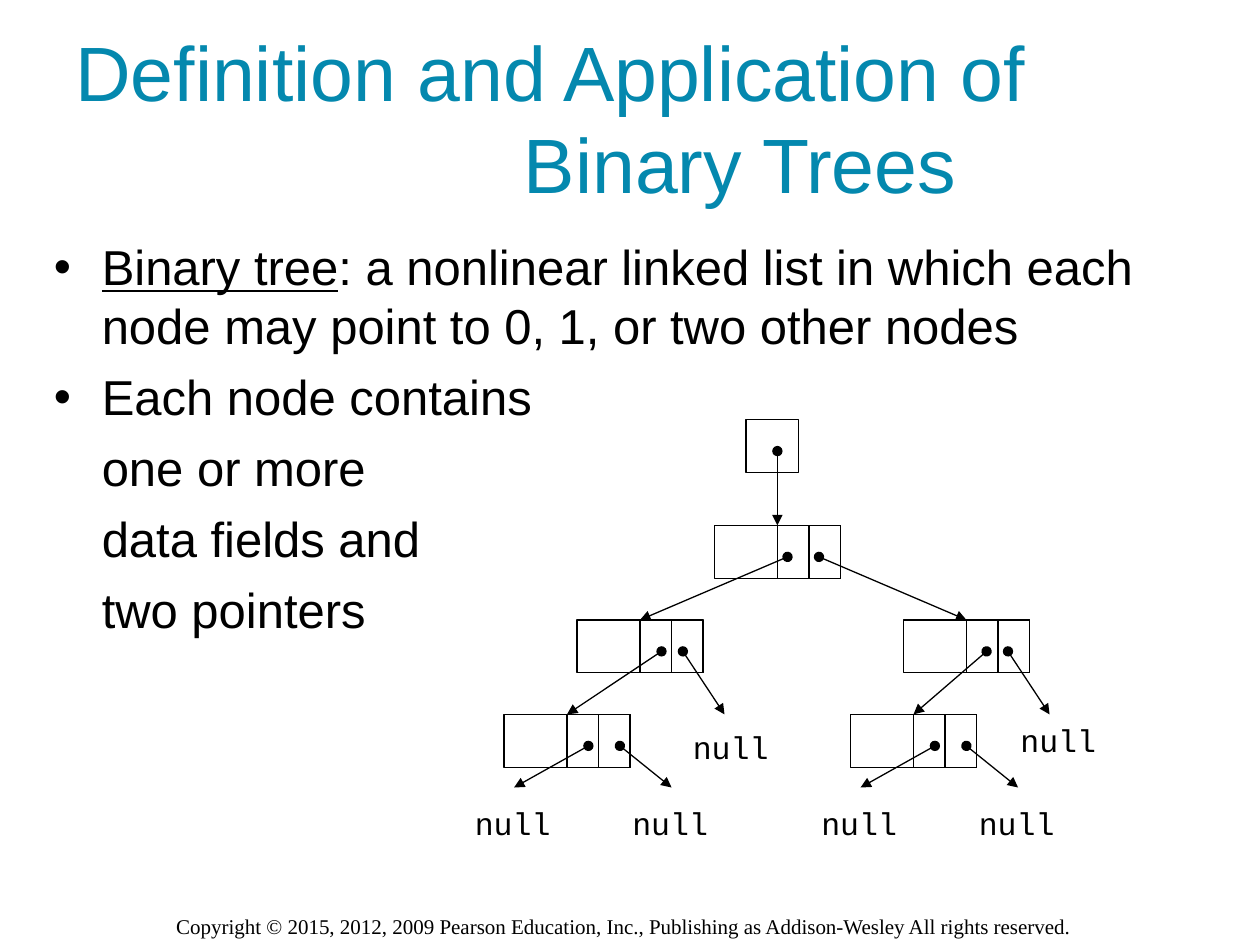
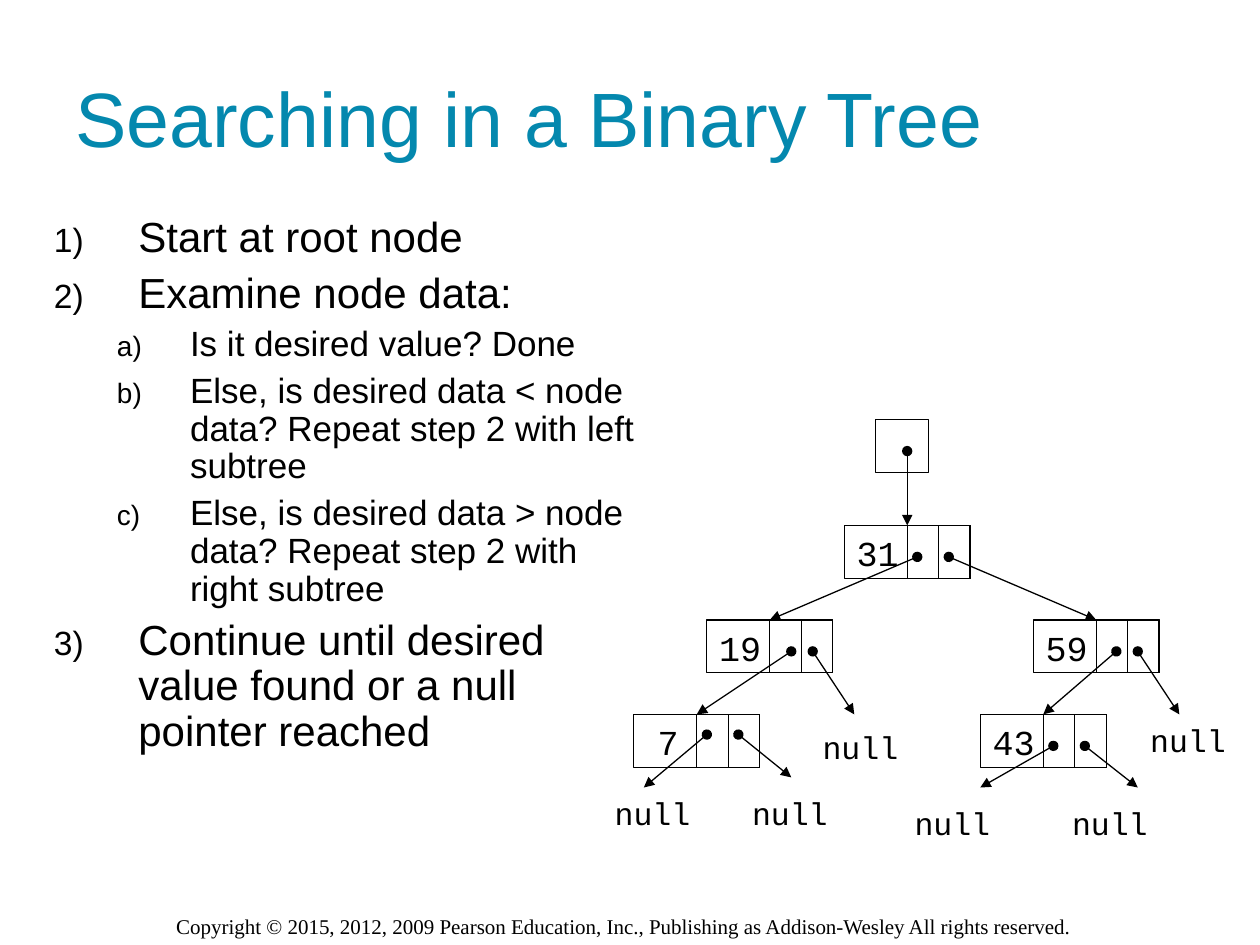
import pptx
from pptx.dml.color import RGBColor
from pptx.enum.shapes import MSO_CONNECTOR, MSO_SHAPE
from pptx.enum.text import MSO_ANCHOR
from pptx.oxml.ns import qn
from pptx.util import Inches, Pt
from lxml import etree

COLORS = {"title": "0488AE", "ink": "000000"}
SANS, SERIF, MONO = "Arial", "Times New Roman", "Courier New"
COPYRIGHT = ("Copyright © 2015, 2012, 2009 Pearson Education, Inc., "
             "Publishing as Addison-Wesley All rights reserved.")

# Node geometry in inches
NODE_WIDTH, NODE_HEIGHT, POINTER_WIDTH = 1, 0.42, 0.25
ROOT_Y, INNER_Y, LEAF_Y = 4.17, 4.92, 5.67
VALUE_WIDTH = 0.56


class Deck:
    def __init__(self):
        self.presentation = pptx.Presentation()
        self.presentation.slide_width = Inches(10)
        self.presentation.slide_height = Inches(7.5)
        self.slide = None

    def add_slide(self, title_lines):
        """Start a slide with the shared footer and title; a line is (text, indent)."""
        self.slide = self.presentation.slides.add_slide(self.presentation.slide_layouts[6])
        self.text(1.3, 7.2, 7.42, 0.3, COPYRIGHT, 12, SERIF, wrap=True)
        frame = self.frame(0.5, 0.3, 9, 1.25)
        frame.vertical_anchor = MSO_ANCHOR.MIDDLE
        for text, indent in title_lines:
            paragraph = self.paragraph(frame, [(text, False)], 44, color="title")
            paragraph._p.get_or_add_pPr().set("marL", str(Inches(indent)))

    def frame(self, left, top, width, height, wrap=True):
        box = self.slide.shapes.add_textbox(
            Inches(left), Inches(top), Inches(width), Inches(height))
        box.text_frame.word_wrap = wrap
        return box.text_frame

    def paragraph(self, frame, runs, size, font=SANS, color="ink", space=0):
        """Fill the empty first paragraph or append one; a run is (text, underlined)."""
        paragraph = frame.paragraphs[0]
        if paragraph.runs:
            paragraph = frame.add_paragraph()
            paragraph.space_before = Pt(space)
        for text, underlined in runs:
            run = paragraph.add_run()
            run.text = text
            if underlined:
                run.font.underline = True
        paragraph.font.size = Pt(size)
        paragraph.font.name = font
        paragraph.font.color.rgb = RGBColor.from_string(COLORS[color])
        return paragraph

    def text(self, left, top, width, height, text, size, font, wrap=False):
        frame = self.frame(left, top, width, height, wrap)
        self.paragraph(frame, [(text, False)], size, font)

    def list_item(self, frame, runs, size, margin, hanging, space,
                  bullet=None, number=None, level=0, line_spacing=None):
        paragraph = self.paragraph(frame, runs, size, space=space)
        paragraph.level = level
        if line_spacing:
            paragraph.line_spacing = line_spacing
        properties = paragraph._p.get_or_add_pPr()
        properties.set("marL", str(Inches(margin)))
        properties.set("indent", str(-Inches(hanging)))
        marks = []
        if number:
            marks = [("a:buSzPct", {"val": "80000"}), ("a:buFont", {"typeface": SANS}),
                     ("a:buAutoNum", {"type": number})]
        elif bullet:
            marks = [("a:buFont", {"typeface": SANS}), ("a:buChar", {"char": bullet})]
        defaults = properties.find(qn("a:defRPr"))
        for tag, attributes in marks:
            defaults.addprevious(etree.Element(qn(tag), attributes))

    def rectangle(self, left, top, width, height):
        shape = self.slide.shapes.add_shape(
            MSO_SHAPE.RECTANGLE, Inches(left), Inches(top), Inches(width), Inches(height))
        shape.shadow.inherit = False
        shape.fill.background()
        self.outline(shape.line)

    def outline(self, line):
        line.color.rgb = RGBColor.from_string(COLORS["ink"])
        line.width = Pt(0.75)

    def pointer(self, start, end):
        """Arrow from a round dot to a triangular tip."""
        connector = self.slide.shapes.add_connector(
            MSO_CONNECTOR.STRAIGHT, *(Inches(value) for value in (*start, *end)))
        self.outline(connector.line)
        line = connector.line._get_or_add_ln()
        for tag, kind in (("a:headEnd", "oval"), ("a:tailEnd", "triangle")):
            etree.SubElement(line, qn(tag), type=kind)
        etree.SubElement(connector._element.spPr, qn("a:effectLst"))

    def null(self, left, top):
        self.text(left, top, 0.82, 0.4, "null", 18, MONO)

    def node(self, left, top, value, dots, dot_drop, tips):
        """Data cell, two pointer cells and two pointers; dots and tips count from the node."""
        self.rectangle(left, top, NODE_WIDTH, NODE_HEIGHT)
        for cell in (1, 2):
            self.rectangle(left + NODE_WIDTH - cell * POINTER_WIDTH, top,
                           POINTER_WIDTH, NODE_HEIGHT)
        if value:
            indent = 0.09 if len(value) == 1 else 0
            self.text(left + indent, top, VALUE_WIDTH - 2 * indent, 0.44, value, 20, MONO)
        for dot, (tip_x, tip_y) in zip(dots, tips):
            self.pointer((left + dot, top + dot_drop), (left + tip_x, top + tip_y))

    def tree(self, shift, leaves, values=("",) * 5):
        """Draw the tree moved right by shift; values run level by level."""
        root, left, right, *leaf_values = values
        # Head pointer
        self.rectangle(5.92 + shift, 3.33, 0.42, 0.42)
        self.pointer((6.17 + shift, 3.58), (6.17 + shift, ROOT_Y))
        # Root and inner nodes
        self.node(5.67 + shift, ROOT_Y, root, (0.58, 0.83), 0.25,
                  ((-0.59, 0.75), (2, 0.75)))
        self.node(4.58 + shift, INNER_Y, left, (0.67, 0.84), 0.25,
                  ((-0.08, 0.75), (1.17, 0.75)))
        self.node(7.17 + shift, INNER_Y, right, (0.66, 0.83), 0.25,
                  ((0.08, 0.75), (1.16, 0.75)))
        self.null(5.4 + shift, 5.73)
        self.null(8 + shift, 5.67)
        # Leaves with their null labels
        for leaf_x, leaf, value in zip((4, 6.75), leaves, leaf_values):
            leaf_left = leaf_x + shift
            self.node(leaf_left, LEAF_Y, value, leaf["dots"], leaf["drop"], leaf["tips"])
            for offset in leaf["nulls"]:
                self.null(leaf_left + offset, leaf["null_y"])


def main():
    deck = Deck()

    # Definition
    deck.add_slide([("Definition and Application of", 0), ("Binary Trees", 3.56)])
    body = deck.frame(0.33, 1.83, 9.17, 4.58)
    definition = [("Binary tree", True),
                  (": a nonlinear linked list in which each node may point to 0, 1, "
                   "or two other nodes", False)]
    for runs in (definition, [("Each node contains", False)]):
        deck.list_item(body, runs, 28, 0.38, 0.38, 7, bullet="•")
    for text in ("one or more", "data fields and", "two pointers"):
        deck.list_item(body, [(text, False)], 28, 0.38, 0, 7)
    wide_leaf = {"dots": (0.67, 0.92), "drop": 0.25, "tips": ((0.08, 0.58), (1.33, 0.58)),
                 "nulls": (-0.33, 0.92), "null_y": 6.33}
    deck.tree(0, (wide_leaf, wide_leaf))

    # Searching
    deck.add_slide([("Searching in a Binary Tree", 0)])
    body = deck.frame(0.33, 1.67, 4.92, 5)
    steps = [
        (0, "Start at root node"),
        (0, "Examine node data:"),
        (1, "Is it desired value? Done"),
        (1, "Else, is desired data < node data? Repeat step 2 with left subtree"),
        (1, "Else, is desired data > node data? Repeat step 2 with right subtree"),
        (0, "Continue until desired value found or a null pointer reached"),
    ]
    # Size, margin, hanging, space before and numbering of each level
    levels = [(24, 0.67, 0.67, 6, "arabicParenR"), (20, 1.08, 0.58, 5, "alphaLcParenR")]
    for level, text in steps:
        size, margin, hanging, space, number = levels[level]
        deck.list_item(body, [(text, False)], size, margin, hanging, space,
                       number=number, level=level, line_spacing=0.9)
    seven = {"dots": (0.58, 0.83), "drop": 0.16, "tips": ((0.08, 0.58), (1.25, 0.5)),
             "nulls": (-0.25, 0.84), "null_y": 6.25}
    forty_three = {"dots": (0.58, 0.83), "drop": 0.25, "tips": ((0, 0.58), (1.25, 0.58)),
                   "nulls": (-0.62, 0.63), "null_y": 6.33}
    deck.tree(1.03, (seven, forty_three), ("31", "19", "59", "7", "43"))

    deck.presentation.save("out.pptx")


if __name__ == "__main__":
    main()
